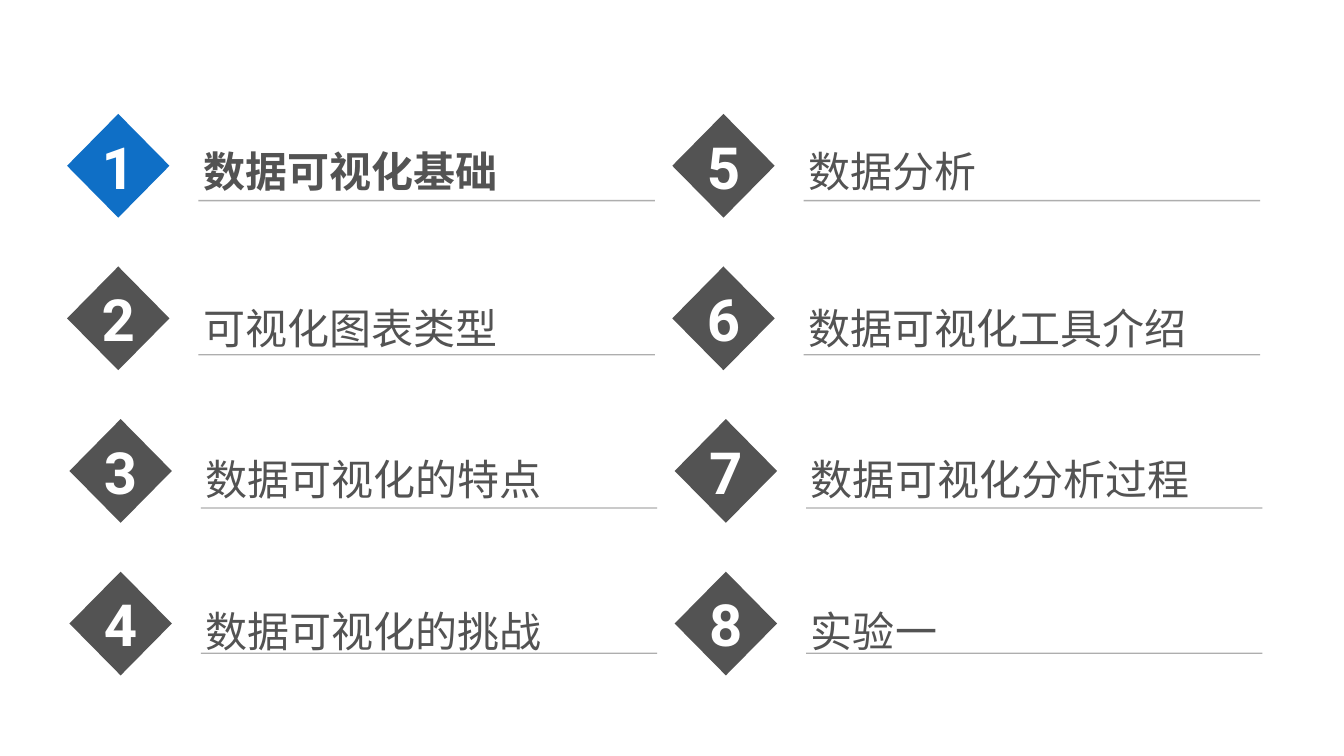
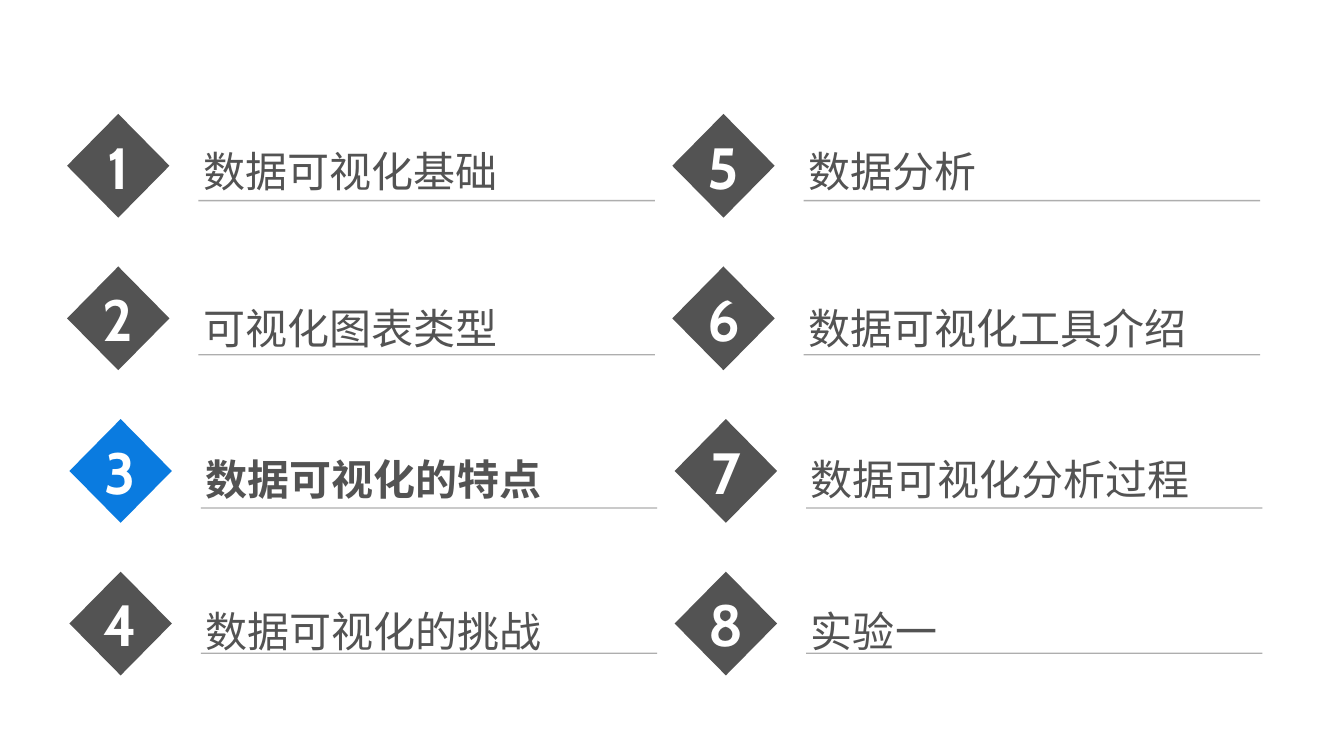
from lxml.etree import SubElement
from pptx import Presentation
from pptx.dml.color import RGBColor
from pptx.enum.shapes import MSO_CONNECTOR, MSO_SHAPE
from pptx.enum.text import MSO_ANCHOR, MSO_AUTO_SIZE, PP_ALIGN
from pptx.oxml.ns import qn
from pptx.util import Cm, Pt

COLORS = {
    "chapter": "535353",
    "rule": "5E5E5E",
    "number": "FFFFFF",
    "deep_blue": "0F6FC6",
    "bright_blue": "0A7BE0",
}
TITLE_FONT = "Roboto"
CHAPTERS = [
    "数据可视化基础", "可视化图表类型", "数据可视化的特点", "数据可视化的挑战",
    "数据分析", "数据可视化工具介绍", "数据可视化分析过程", "实验一",
]
ROWS = 4
COLUMN_PITCH = 30.5
DIAMOND_TOP, DIAMOND_PITCH = 5.74, 7.69
DIAMOND_WIDTH, DIAMOND_HEIGHT = 5.16, 5.23
ROW_LEFTS = [3.38, 3.38, 3.5, 3.5]
TITLE_TOPS = [7.09, 14.99, 22.63, 30.25]
RULE_TOPS = [10.11, 17.88, 25.6, 32.92]
TITLE_INDENT, RULE_LENGTH = 6.62, 23


def color(name):
    """Return the named palette colour."""
    return RGBColor.from_string(COLORS[name])


def write(frame, words, font, size, ink, bold):
    """Write one run with even insets into a text frame."""
    frame.margin_left = frame.margin_right = Cm(0.25)
    frame.margin_top = frame.margin_bottom = Cm(0.25)
    frame.word_wrap = True
    run = frame.paragraphs[0].add_run()
    run.text = words
    run.font.name = font
    run.font.size = Pt(size)
    run.font.bold = bold
    run.font.color.rgb = color(ink)


def add_title(shapes, left, top, words, bold):
    """Add a chapter title."""
    title = shapes.add_textbox(Cm(left), Cm(top), Cm(23.52), Cm(3.07))
    write(title.text_frame, words, TITLE_FONT, 60, "chapter", bold)
    title.text_frame.auto_size = MSO_AUTO_SIZE.SHAPE_TO_FIT_TEXT


def add_number(shapes, left, top, number, font, fill):
    """Add a diamond holding a chapter number."""
    diamond = shapes.add_shape(MSO_SHAPE.DIAMOND, Cm(left), Cm(top),
                               Cm(DIAMOND_WIDTH), Cm(DIAMOND_HEIGHT))
    diamond.shadow.inherit = False
    diamond.fill.solid()
    diamond.fill.fore_color.rgb = color(fill)
    diamond.line.fill.background()
    write(diamond.text_frame, str(number), font, 83, "number", True)
    diamond.text_frame.vertical_anchor = MSO_ANCHOR.MIDDLE
    diamond.text_frame.paragraphs[0].alignment = PP_ALIGN.CENTER


def add_rule(shapes, left, top):
    """Add the half-transparent rule under a chapter title."""
    rule = shapes.add_connector(MSO_CONNECTOR.STRAIGHT, Cm(left), Cm(top),
                                Cm(left + RULE_LENGTH), Cm(top))
    rule.line.width = Pt(2)
    rule.line.color.rgb = color("rule")
    properties = rule.element.spPr
    ink = next(properties.iter(qn("a:srgbClr")))
    SubElement(ink, qn("a:alpha"), val="50000")
    SubElement(properties, qn("a:effectLst"))


def add_agenda(deck, current, highlight, number_font, grouped):
    """Add an agenda slide with the current chapter highlighted."""
    slide = deck.slides.add_slide(deck.slide_layouts[6])
    for index, chapter in enumerate(CHAPTERS):
        column, row = divmod(index, ROWS)
        number = index + 1
        active = number == current
        left = ROW_LEFTS[row] + column * COLUMN_PITCH
        text_left = left + TITLE_INDENT
        shapes = slide.shapes.add_group_shape().shapes if grouped else slide.shapes
        add_title(shapes, text_left, TITLE_TOPS[row], chapter, active)
        add_number(shapes, left, DIAMOND_TOP + row * DIAMOND_PITCH, number,
                   number_font, highlight if active else "chapter")
        add_rule(shapes, text_left, RULE_TOPS[row])


def main():
    """Build both agenda slides."""
    deck = Presentation()
    deck.slide_width, deck.slide_height = Cm(67.73), Cm(38.1)
    add_agenda(deck, 1, "deep_blue", "Roboto", grouped=True)
    add_agenda(deck, 3, "bright_blue", "Cabin", grouped=False)
    deck.save("out.pptx")


if __name__ == "__main__":
    main()
